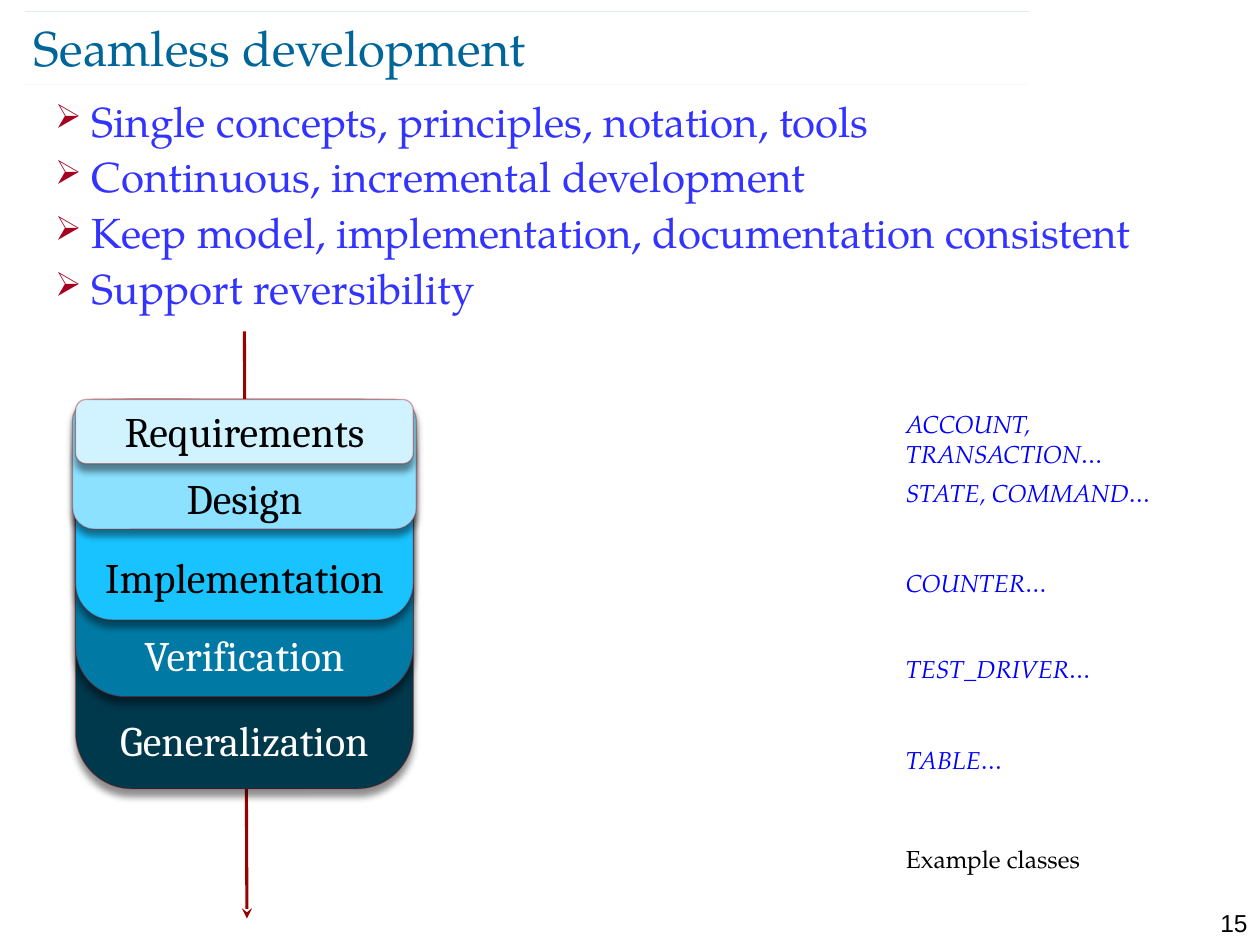
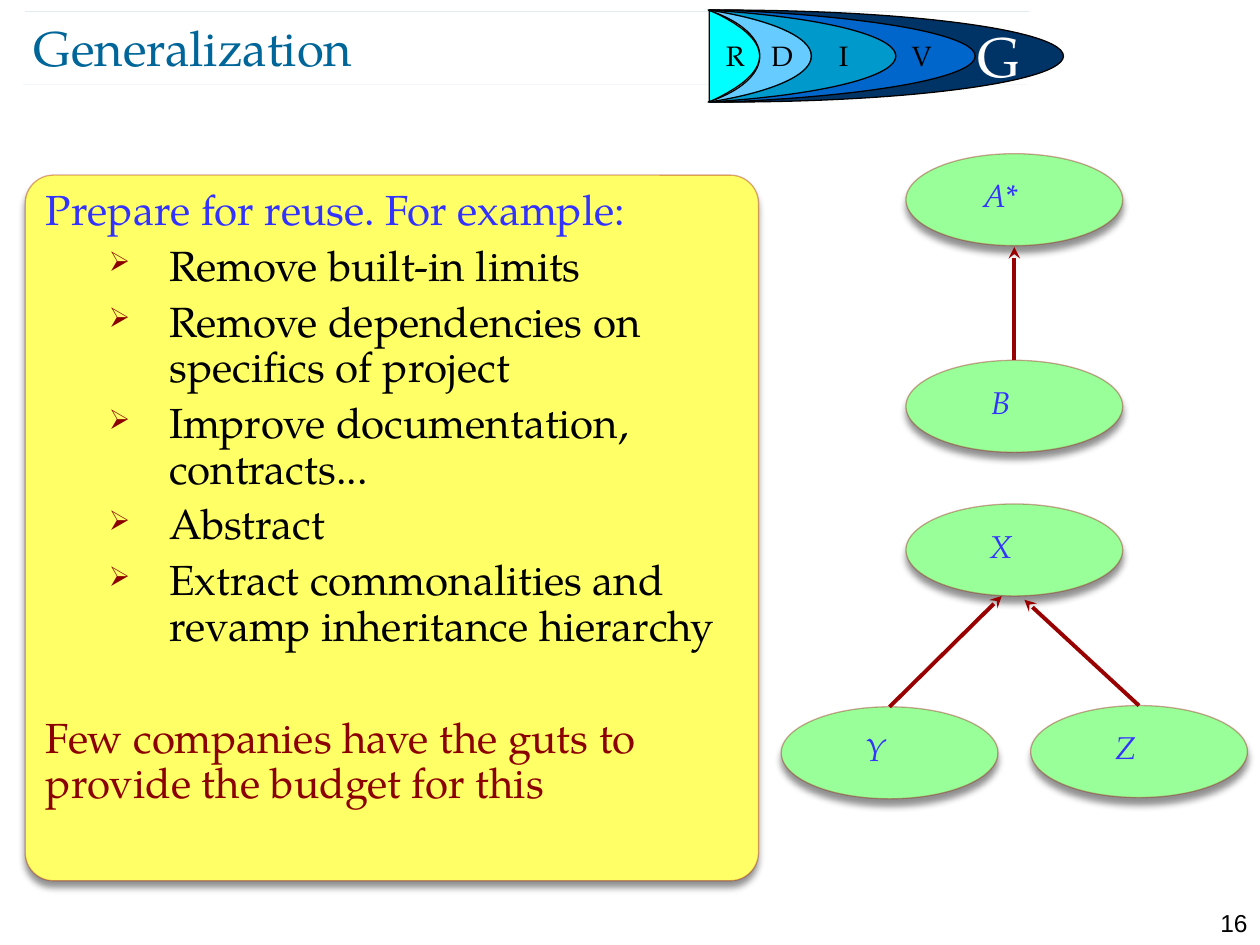
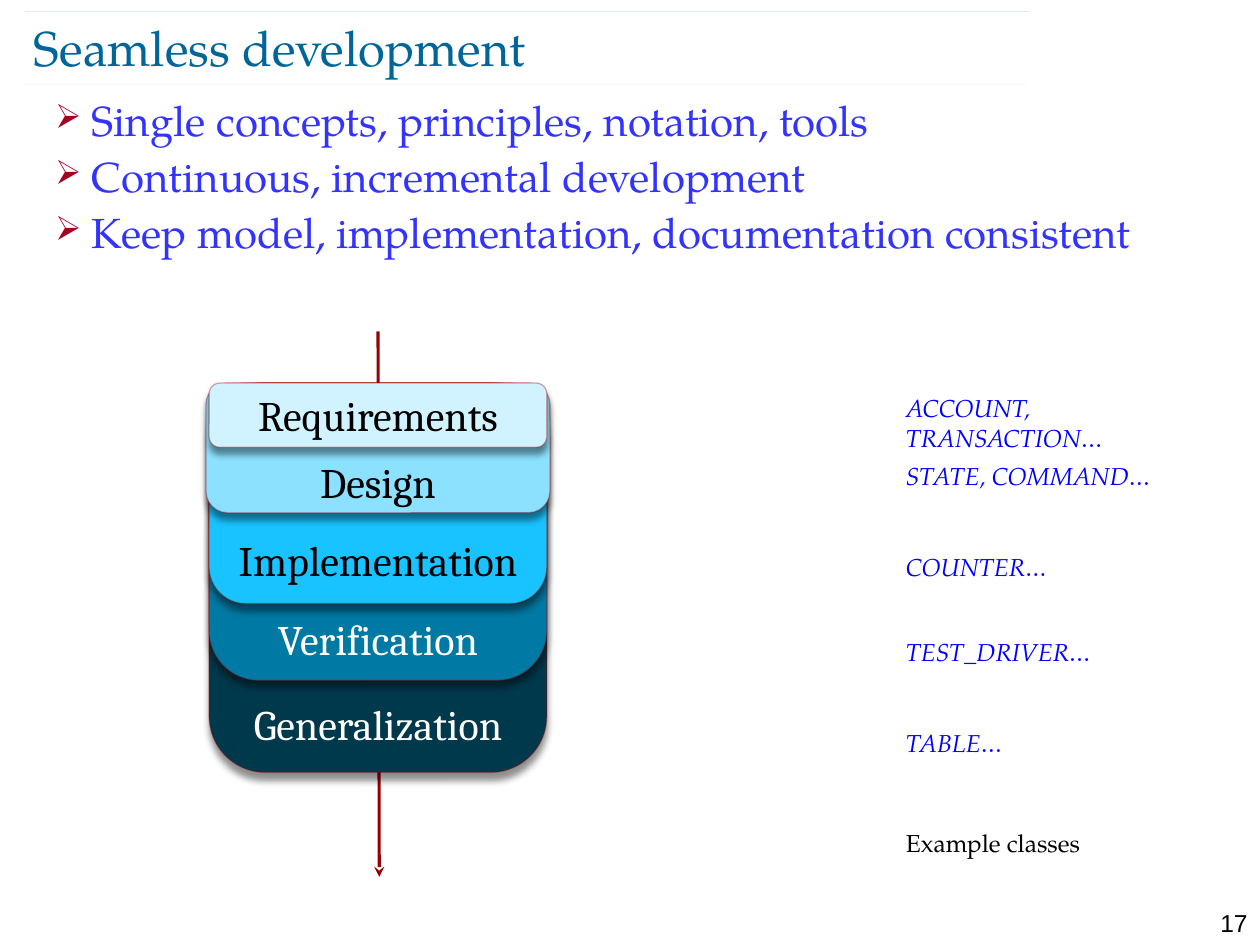
"""Build three slides on seamless development with a shared title, rules and page number."""

from dataclasses import dataclass, replace
from typing import Any, NamedTuple

from lxml.etree import SubElement
from pptx import Presentation
from pptx.dml.color import RGBColor
from pptx.enum.shapes import MSO_CONNECTOR, MSO_SHAPE
from pptx.enum.text import MSO_ANCHOR, PP_ALIGN
from pptx.oxml.ns import qn
from pptx.util import Emu, Inches, Pt

SLIDE_WIDTH, SLIDE_HEIGHT = Inches(10), Inches(7.5)
GRID_COLUMNS = 100

BLACK = RGBColor(0x00, 0x00, 0x00)
WHITE = RGBColor(0xFF, 0xFF, 0xFF)
TEAL = RGBColor(0x00, 0x66, 0x99)
VIOLET = RGBColor(0x33, 0x33, 0xFF)
CLASS_BLUE = RGBColor(0x00, 0x00, 0xFF)
CRIMSON = RGBColor(0xA5, 0x00, 0x21)
DARK_RED = RGBColor(0x8B, 0x00, 0x00)
ARROW_RED = RGBColor(0x99, 0x00, 0x00)
YELLOW = RGBColor(0xFF, 0xFF, 0x66)
GREEN = RGBColor(0x99, 0xFF, 0x99)
CYAN = RGBColor(0x00, 0xFF, 0xFF)

SERIF, STACK_FONT, NUMBER_FONT = "TeX Gyre Pagella", "Cambria", "Arial"
NO_INSETS = (0, 0, 0, 0)
TEXT_INSETS = (1, 0.5, 1, 0.5)


class Box(NamedTuple):
    """A rectangle in grid cells."""

    column: float
    row: float
    columns: float
    rows: float


class Point(NamedTuple):
    """A place on the grid."""

    column: float
    row: float


@dataclass(frozen=True)
class TextStyle:
    """How a paragraph looks."""

    size: float
    color: RGBColor
    font: str = SERIF
    italic: bool = False
    align: PP_ALIGN = PP_ALIGN.LEFT
    line_spacing: float = 1.0
    space_before: float = 0
    bullet_color: RGBColor | None = None
    bullet_percent: int = 100
    left_margin: float = 0
    hanging: float = 0


class Layer(NamedTuple):
    """One activity of the stack with its example classes."""

    name: str
    classes: str
    depth: float
    label_row: float
    class_row: float
    fill: RGBColor
    ink: RGBColor
    overhang: float = 0


class Crescent(NamedTuple):
    """One moon of the progress badge."""

    letter: str
    left: float
    right: float
    letter_center: float
    fill: RGBColor


class Oval(NamedTuple):
    """A class of the inheritance diagram, with the arrow tip it points to."""

    name: str
    column: float
    row: float
    arrow_tip: Point | None = None


TITLE = TextStyle(28, TEAL)
NUMBER = TextStyle(14, BLACK, NUMBER_FONT, align=PP_ALIGN.RIGHT)
LEAD = TextStyle(24, VIOLET, line_spacing=0.9)
POINT = replace(LEAD, space_before=6, bullet_color=CRIMSON, bullet_percent=80,
                left_margin=2.9, hanging=2.9)
SUBPOINT = replace(POINT, color=BLACK, bullet_color=DARK_RED, bullet_percent=65,
                   left_margin=9.8, hanging=4.8)
CLOSING = replace(LEAD, color=DARK_RED, space_before=38)
CLASS_NAME = TextStyle(14, CLASS_BLUE, italic=True)
CAPTION = TextStyle(14, BLACK)
OVAL_NAME = TextStyle(18, VIOLET, italic=True, align=PP_ALIGN.CENTER)
BADGE_LETTER = TextStyle(16, BLACK, align=PP_ALIGN.CENTER)
BADGE_FOCUS = replace(BADGE_LETTER, size=32, color=WHITE)

PRINCIPLES = [
    "Single concepts, principles, notation, tools",
    "Continuous, incremental development",
    "Keep model, implementation, documentation consistent",
    "Support reversibility",
]
REUSE_STEPS = [
    "Remove built-in limits",
    "Remove dependencies on specifics of project",
    "Improve documentation, contracts...",
    "Abstract",
    "Extract commonalities and revamp inheritance hierarchy",
]
STACK_WIDTH, CLASS_COLUMN = 26.8, 71.9
LAYERS = [
    Layer("Generalization", "TABLE…", 30.9, 25, 27.4, RGBColor(0x00, 0x38, 0x4C), WHITE),
    Layer("Verification", "TEST_DRIVER…", 23.6, 18.3, 20.2, RGBColor(0x00, 0x79, 0xA4), WHITE),
    Layer("Implementation", "COUNTER…", 17.5, 12.05, 13.4, RGBColor(0x19, 0xC3, 0xFF), BLACK),
    Layer("Design", "STATE, COMMAND…", 10.3, 5.8, 6.2, RGBColor(0x8B, 0xE1, 0xFF), BLACK, 0.25),
    Layer("Requirements", "ACCOUNT, TRANSACTION…", 5.1, 0.5, 0.8,
          RGBColor(0xD1, 0xF3, 0xFF), BLACK),
]
BADGE_TOP, BADGE_HEIGHT, BADGE_LEFT, BADGE_START = 0.8, 7.3, 56.3, 60.3
CRESCENTS = [
    Crescent("D", 56.2, 64.4, 62.05, RGBColor(0x66, 0xCC, 0xFF)),
    Crescent("I", 56.3, 71.1, 66.95, RGBColor(0x00, 0x99, 0xCC)),
    Crescent("V", 56.3, 77.4, 73.15, RGBColor(0x00, 0x66, 0xCC)),
    Crescent("G", 57.5, 84.4, 79.25, RGBColor(0x00, 0x33, 0x66)),
]
OVALS = [
    Oval("A*", 71.9, 12.2),
    Oval("B", 71.9, 28.6, Point(80.5, 19.6)),
    Oval("X", 71.9, 40),
    Oval("Y", 62, 56.1, Point(79.5, 47.3)),
    Oval("Z", 81.8, 56, Point(81.3, 47.6)),
]


def cells(count: float) -> Emu:
    """Turn grid cells into a length."""
    return Emu(round(count * SLIDE_WIDTH / GRID_COLUMNS))


def set_values(target: Any, values: dict[str, Any]) -> None:
    """Set each named attribute of the target."""
    for name, value in values.items():
        setattr(target, name, value)


def add_alpha(line: Any, percent: int) -> None:
    """Make the solid colour of a line partly transparent."""
    color = line.fill._xPr.find(qn("a:solidFill"))[0]
    SubElement(color, qn("a:alpha"), val=str(percent * 1000))


def add_bullet(paragraph: Any, style: TextStyle) -> None:
    """Give a paragraph its arrow bullet and hanging indent."""
    properties = paragraph._p.get_or_add_pPr()
    properties.set("marL", str(cells(style.left_margin)))
    properties.set("indent", str(-cells(style.hanging)))
    color = SubElement(properties, qn("a:buClr"))
    SubElement(color, qn("a:srgbClr"), val=str(style.bullet_color))
    SubElement(properties, qn("a:buSzPct"), val=str(style.bullet_percent * 1000))
    SubElement(properties, qn("a:buChar"), char="➢")


def write(shape: Any, lines: list[tuple[str, TextStyle]], insets: tuple[float, ...],
          anchor: MSO_ANCHOR = MSO_ANCHOR.TOP) -> None:
    """Write styled paragraphs into a shape."""
    frame = shape.text_frame
    sides = ("margin_left", "margin_top", "margin_right", "margin_bottom")
    set_values(frame, {"word_wrap": True, "vertical_anchor": anchor,
                       **dict(zip(sides, map(cells, insets)))})
    for index, (text, style) in enumerate(lines):
        paragraph = frame.add_paragraph() if index else frame.paragraphs[0]
        if style.bullet_color is not None:
            add_bullet(paragraph, style)
        set_values(paragraph, {"alignment": style.align, "line_spacing": style.line_spacing,
                               "space_before": Pt(style.space_before if index else 0)})
        run = paragraph.add_run()
        run.text = text
        set_values(run.font, {"size": Pt(style.size), "name": style.font, "italic": style.italic})
        run.font.color.rgb = style.color


def add_text(slide: Any, box: Box, lines: list[tuple[str, TextStyle]],
             insets: tuple[float, ...] = NO_INSETS,
             anchor: MSO_ANCHOR = MSO_ANCHOR.TOP) -> None:
    """Add a text box."""
    write(slide.shapes.add_textbox(*map(cells, box)), lines, insets, anchor)


def paint(shape: Any, fill: RGBColor, outline: RGBColor) -> None:
    """Give a shape a plain fill and a thin outline."""
    shape.shadow.inherit = False
    shape.fill.solid()
    shape.fill.fore_color.rgb = fill
    shape.line.color.rgb = outline
    shape.line.width = Pt(0.75)


def add_raised_shape(slide: Any, preset: MSO_SHAPE, box: Box, fill: RGBColor) -> Any:
    """Add a shape with a faint red outline and a soft shadow below."""
    shape = slide.shapes.add_shape(preset, *map(cells, box))
    paint(shape, fill, ARROW_RED)
    add_alpha(shape.line, 34)
    effects = shape._element.spPr.find(qn("a:effectLst"))
    shadow = SubElement(effects, qn("a:outerShdw"), blurRad=str(Pt(4)), dist=str(Pt(4)),
                        dir=str(90 * 60000), rotWithShape="0")
    color = SubElement(shadow, qn("a:srgbClr"), val=str(BLACK))
    SubElement(color, qn("a:alpha"), val="43000")
    return shape


def add_line(slide: Any, start: Point, end: Point, color: RGBColor, width: float,
             arrow: bool = True) -> Any:
    """Add a straight line, with an arrowhead at its end if wanted."""
    connector = slide.shapes.add_connector(MSO_CONNECTOR.STRAIGHT, *map(cells, start + end))
    connector.line.color.rgb = color
    connector.line.width = Pt(width)
    if arrow:
        SubElement(connector.line._get_or_add_ln(), qn("a:tailEnd"), type="stealth")
    SubElement(connector._element.spPr, qn("a:effectLst"))
    return connector


def add_slide(presentation: Any, title: str, number: int) -> Any:
    """Add a blank slide with the shared rules, title and page number."""
    slide = presentation.slides.add_slide(presentation.slide_layouts[6])
    for start in (Point(1.8, 6.7), Point(2, 0.9)):
        rule = add_line(slide, start, Point(start.column + 79.7, start.row), TEAL, 0.1, False)
        add_alpha(rule.line, 35)
    add_text(slide, Box(2.7, 1.3, 85, 4.8), [(title, TITLE)], anchor=MSO_ANCHOR.MIDDLE)
    add_text(slide, Box(94.5, 71.6, 5.5, 2.4), [(str(number), NUMBER)], TEXT_INSETS)
    return slide


def add_stack(slide: Any, corner: Point, arrow_end: Point) -> None:
    """Draw the layered activities, the arrow behind them and the example classes."""
    left, top = corner
    add_line(slide, Point(left + STACK_WIDTH / 2, 26.3), arrow_end, ARROW_RED, 1.75)
    for layer in LAYERS:
        box = Box(left - layer.overhang, top, STACK_WIDTH + 2 * layer.overhang, layer.depth)
        add_raised_shape(slide, MSO_SHAPE.ROUNDED_RECTANGLE, box, layer.fill)
        label = TextStyle(24, layer.ink, STACK_FONT, align=PP_ALIGN.CENTER)
        add_text(slide, Box(left + 0.5, top + layer.label_row, STACK_WIDTH - 1, 4),
                 [(layer.name, label)])
        add_text(slide, Box(CLASS_COLUMN, top + layer.class_row, 25.5, 2.4),
                 [(layer.classes, CLASS_NAME)])
    add_text(slide, Box(CLASS_COLUMN, top + 35.3, 17.3, 2.9), [("Example classes", CAPTION)])


def add_development_slide(presentation: Any, number: int, principle_count: int,
                          corner: Point, arrow_end: Point) -> None:
    """Add a slide with the principles above the activity stack."""
    slide = add_slide(presentation, "Seamless development", number)
    lines = [(text, POINT) for text in PRINCIPLES[:principle_count]]
    add_text(slide, Box(3.4, 7.5, 89.6, 3.6 + 3.65 * principle_count), lines, TEXT_INSETS)
    add_stack(slide, corner, arrow_end)


def add_badge(slide: Any) -> None:
    """Draw the nested crescents, each starting where the last one ends."""
    heights = [step / 10 for step in range(-10, 11)]
    points = [(cells(BADGE_LEFT + (BADGE_START - BADGE_LEFT) * (1 - height ** 2)),
               cells(BADGE_TOP + BADGE_HEIGHT * (1 + height) / 2)) for height in heights]
    builder = slide.shapes.build_freeform(*points[0])
    builder.add_line_segments(points[1:], close=True)
    paint(builder.convert_to_shape(), CYAN, BLACK)
    inner_edge = BADGE_START
    for crescent in CRESCENTS:
        width = crescent.right - crescent.left
        moon = slide.shapes.add_shape(
            MSO_SHAPE.MOON, *map(cells, Box(crescent.left, BADGE_TOP, width, BADGE_HEIGHT)))
        moon.rotation = 180
        moon.adjustments[0] = (crescent.right - inner_edge) / width
        paint(moon, crescent.fill, BLACK)
        inner_edge = crescent.right
    centers = [("R", 58.35)] + [(item.letter, item.letter_center) for item in CRESCENTS]
    for letter, center in centers:
        focus = letter == "G"
        box = Box(center - 2.95, 1.2 if focus else 2.6, 5.9, 6.3 if focus else 3.7)
        add_text(slide, box, [(letter, BADGE_FOCUS if focus else BADGE_LETTER)], TEXT_INSETS)


def add_inheritance(slide: Any) -> None:
    """Draw the class ovals and the arrows from heirs to parents."""
    for oval in OVALS:
        shape = add_raised_shape(slide, MSO_SHAPE.OVAL, Box(oval.column, oval.row, 17.2, 7.3),
                                 GREEN)
        add_text(slide, Box(oval.column + 3.1, oval.row + 1.4, 8.9, 4.8),
                 [(oval.name, OVAL_NAME)], (0.4, 0.4, 0.4, 0.4))
        if oval.arrow_tip:
            arrow = add_line(slide, Point(oval.column + 8.6, oval.row), oval.arrow_tip,
                             ARROW_RED, 2.25)
            arrow.begin_connect(shape, 0)


def add_generalization_slide(presentation: Any, number: int) -> None:
    """Add the slide on preparing for reuse."""
    slide = add_slide(presentation, "Generalization", number)
    panel = add_raised_shape(slide, MSO_SHAPE.ROUNDED_RECTANGLE, Box(2, 13.9, 58.2, 56), YELLOW)
    panel.adjustments[0] = 0.04
    lines = [("Prepare for reuse. For example:", LEAD),
             *[(step, SUBPOINT) for step in REUSE_STEPS],
             ("Few companies have the guts to provide the budget for this", CLOSING)]
    write(panel, lines, TEXT_INSETS)
    add_inheritance(slide)
    add_badge(slide)


def main() -> None:
    """Build and save the presentation."""
    presentation = Presentation()
    set_values(presentation, {"slide_width": SLIDE_WIDTH, "slide_height": SLIDE_HEIGHT})
    add_development_slide(presentation, 15, 4, Point(6, 31.7), Point(19.6, 72.9))
    add_generalization_slide(presentation, 16)
    add_development_slide(presentation, 17, 3, Point(16.6, 30.4), Point(30.1, 69.6))
    presentation.save("out.pptx")


if __name__ == "__main__":
    main()
